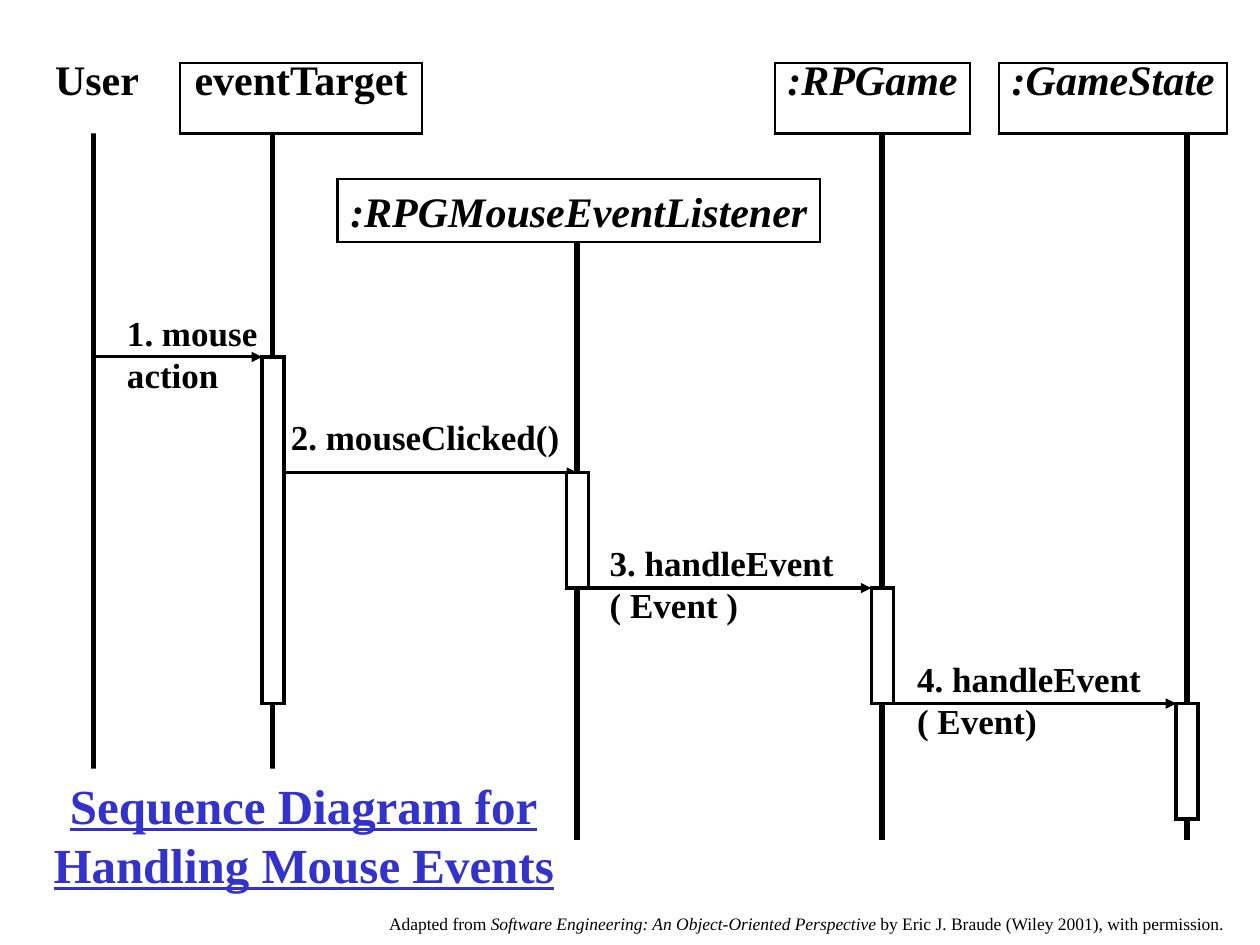
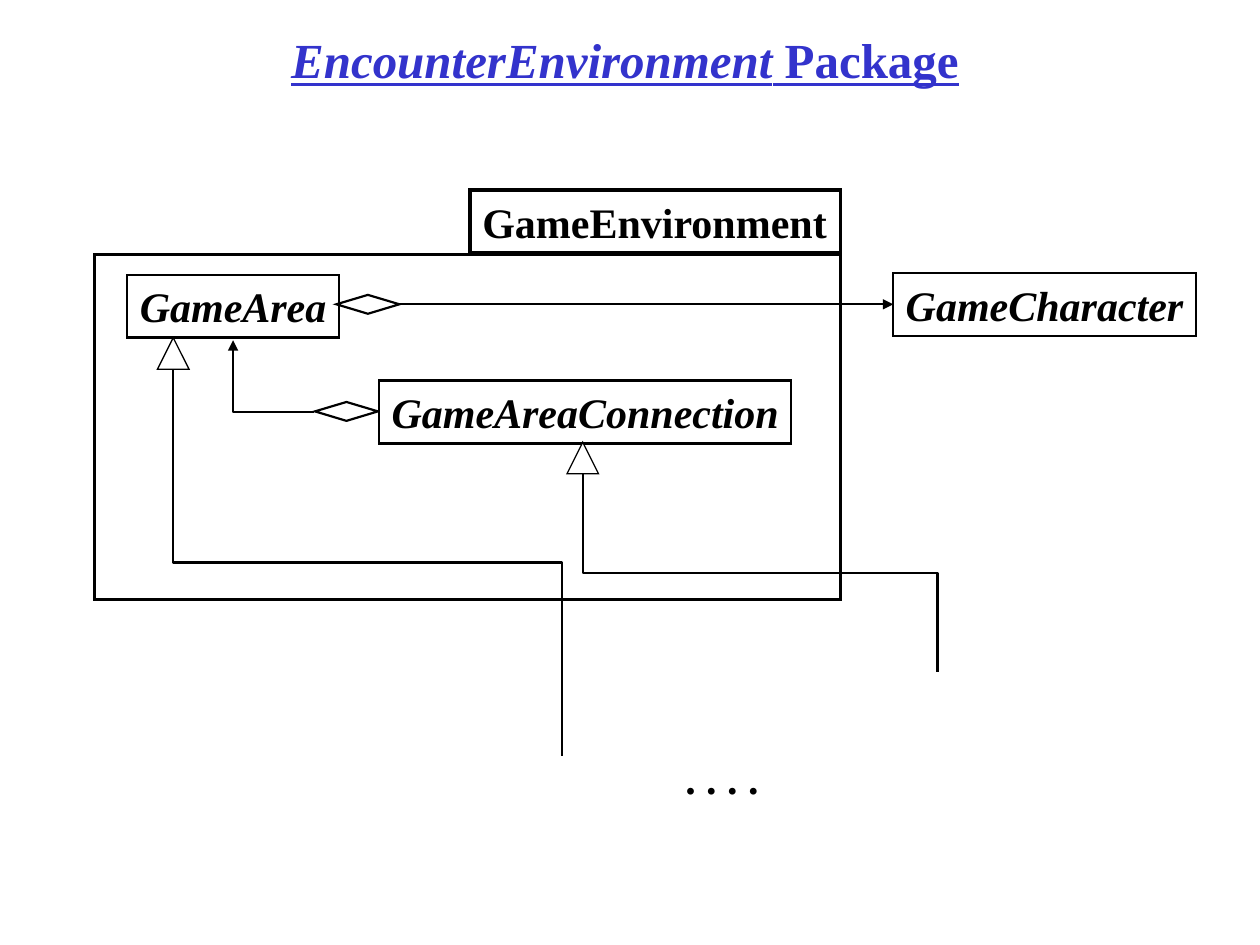
"""Build two UML slides: a mouse event sequence diagram and a package diagram."""
from dataclasses import dataclass

from lxml.etree import SubElement
from pptx import Presentation
from pptx.dml.color import RGBColor
from pptx.enum.shapes import MSO_CONNECTOR, MSO_SHAPE
from pptx.enum.text import MSO_ANCHOR, MSO_AUTO_SIZE, PP_ALIGN
from pptx.oxml.ns import qn
from pptx.util import Inches, Pt

COLORS = {"ink": "000000", "paper": "FFFFFF", "title": "3333CC"}
FONT = "Times New Roman"
COLUMNS, ROWS = 100, 75
WIDTH, HEIGHT = Inches(10), Inches(7.5)
LEFT, RIGHT = 1, 3
LIFELINE_END = 66.7
FIRST_CALL, CALL_STEP = 28.33, 9.17
BAR_WIDTH, BAR_OFFSET = 1.75, 0.85


@dataclass(frozen=True)
class Cell:
    """Left, top, width and height in grid columns and rows."""
    x: float
    y: float
    w: float
    h: float


@dataclass(frozen=True)
class Run:
    text: str
    italic: bool = False


Paragraphs = tuple[tuple[Run, ...], ...]


@dataclass(frozen=True)
class Style:
    size: float = 24
    bold: bool = True
    underline: bool = False
    color: str = "ink"
    align: PP_ALIGN = PP_ALIGN.LEFT
    anchor: MSO_ANCHOR = MSO_ANCHOR.TOP
    left: float = 0.1
    right: float = 0
    top: float = 0.05
    bottom: float = 0.05
    spacing: float | None = None
    wrap: bool = False


CAPTION = Style()
LABEL = Style(size=20)
CREDIT = Style(size=10, bold=False, top=0, bottom=0)
CLASS = Style(align=PP_ALIGN.CENTER, anchor=MSO_ANCHOR.MIDDLE, left=0.05, right=0.05)
HEADER = Style(align=PP_ALIGN.CENTER, left=0.05, right=0.05, top=0.25, bottom=0.15,
               spacing=0.4)
TITLE = Style(size=28, underline=True, color="title", align=PP_ALIGN.CENTER,
              anchor=MSO_ANCHOR.MIDDLE, right=0.1, wrap=True)


@dataclass(frozen=True)
class Participant:
    name: Run
    cell: Cell
    life_x: float
    life_y: float
    line: float = 1.5
    style: Style = HEADER


@dataclass(frozen=True)
class Call:
    """A message to the next participant, with the length of its activation."""
    label: tuple[str, ...]
    cell: Cell
    steps: int = 1
    reach: float = BAR_OFFSET


PARTICIPANTS = (
    Participant(Run("User"), Cell(3.4, 5, 8.6, 5.6), 7.45, 10, line=0),
    Participant(Run("eventTarget"), Cell(14.3, 5, 19.2, 5.6), 21.65, 10),
    Participant(Run(":RPGMouseEventListener", True),
                Cell(26.8, 14.2, 38.3, 5), 45.8, 17.5, style=CLASS),
    Participant(Run(":RPGame", True), Cell(61.5, 5, 15.5, 5.6), 70, 9.2),
    Participant(Run(":GameState", True), Cell(79.3, 5, 18.1, 5.6), 94.2, 9.2),
)
CALLS = (
    Call(("1. mouse", "action"), Cell(9.1, 24.2, 12.3, 7.7), steps=3),
    Call(("2. mouseClicked()",), Cell(22.1, 32.5, 23.3, 4.4), reach=0),
    Call(("3. handleEvent", "( Event )"), Cell(47.4, 42.5, 19.8, 7.7)),
    Call(("4. handleEvent", "( Event)"), Cell(71.8, 51.7, 19.8, 7.7)),
)


def col(n: float) -> int:
    return round(WIDTH * n / COLUMNS)


def row(n: float) -> int:
    return round(HEIGHT * n / ROWS)


def rgb(name: str) -> RGBColor:
    return RGBColor.from_string(COLORS[name])


def add_runs(p, runs: tuple[Run, ...], style: Style) -> None:
    for run in runs:
        r = p.add_run()
        r.text = run.text
        font = r.font
        font.name, font.size, font.bold = FONT, Pt(style.size), style.bold
        font.italic, font.underline = run.italic, style.underline
        font.color.rgb = rgb(style.color)


def write(sp, paragraphs: Paragraphs, style: Style) -> None:
    tf = sp.text_frame
    tf.word_wrap = style.wrap
    tf.auto_size = MSO_AUTO_SIZE.NONE if style.wrap else MSO_AUTO_SIZE.SHAPE_TO_FIT_TEXT
    tf.vertical_anchor = style.anchor
    tf.margin_left, tf.margin_right = Inches(style.left), Inches(style.right)
    tf.margin_top, tf.margin_bottom = Inches(style.top), Inches(style.bottom)
    for i, runs in enumerate(paragraphs):
        p = tf.add_paragraph() if i else tf.paragraphs[0]
        p.alignment = style.align
        if style.spacing:
            p.line_spacing = style.spacing
        add_runs(p, runs, style)


def text(s, cell: Cell, paragraphs: Paragraphs, style: Style) -> None:
    sp = s.shapes.add_textbox(col(cell.x), row(cell.y), col(cell.w), row(cell.h))
    write(sp, paragraphs, style)


def shape(s, cell: Cell, line: float, kind=MSO_SHAPE.RECTANGLE, filled: bool = True):
    sp = s.shapes.add_shape(kind, col(cell.x), row(cell.y), col(cell.w), row(cell.h))
    sp.shadow.inherit = False
    if filled:
        sp.fill.solid()
        sp.fill.fore_color.rgb = rgb("paper")
    else:
        sp.fill.background()
    if line:
        sp.line.color.rgb = rgb("ink")
        sp.line.width = Pt(line)
        SubElement(sp.line._get_or_add_ln(), qn("a:miter"), lim="800000")
    else:
        sp.line.fill.background()
    return sp


def box(s, cell: Cell, paragraphs: Paragraphs, line: float = 0, style: Style = CLASS,
        filled: bool = True):
    sp = shape(s, cell, line, filled=filled)
    write(sp, paragraphs, style)
    return sp


def class_box(s, cell: Cell, name: str):
    return box(s, cell, ((Run(name, True),),), 1.25)


def connect(s, x1: float, y1: float, x2: float, y2: float, width: float,
            arrow: bool = False, kind=MSO_CONNECTOR.STRAIGHT):
    cx = s.shapes.add_connector(kind, col(x1), row(y1), col(x2), row(y2))
    cx.line.color.rgb = rgb("ink")
    cx.line.width = Pt(width)
    if arrow:
        SubElement(cx.line._get_or_add_ln(), qn("a:tailEnd"), type="triangle")
    SubElement(cx._element.spPr, qn("a:effectLst"))
    return cx


def drop_elbow(s, x1: float, y1: float, x2: float, y2: float) -> None:
    """Draw a down, across, down connector as a turned elbow."""
    mx, my = (x1 + x2) / 2, (y1 + y2) / 2
    half_w, half_h = (x2 - x1) / 2, (y2 - y1) / 2
    cx = connect(s, mx + half_h, my - half_w, mx - half_h, my + half_w, 1.25,
                 kind=MSO_CONNECTOR.ELBOW)
    cx._element.spPr.find(qn("a:xfrm")).set("rot", str(270 * 60000))


def corner_arrow(s, x1: float, y1: float, x2: float, y2: float) -> None:
    """Draw an arrow that runs left and then up."""
    cx = connect(s, x2, y2, x1, y1, 1.25, True, MSO_CONNECTOR.ELBOW)
    cx._element.spPr.find(qn("a:xfrm")).set("rot", str(180 * 60000))
    cx._element.spPr.find(qn("a:prstGeom")).set("prst", "bentConnector2")


def sequence_slide(s) -> None:
    for call in CALLS:
        box(s, call.cell, tuple((Run(t),) for t in call.label), style=LABEL)
    for who in PARTICIPANTS:
        connect(s, who.life_x, who.life_y, who.life_x, LIFELINE_END, 3)
    for i, (call, sender, target) in enumerate(zip(CALLS, PARTICIPANTS, PARTICIPANTS[1:])):
        y = FIRST_CALL + i * CALL_STEP
        connect(s, sender.life_x, y, target.life_x - call.reach, y, 1.75, True)
    for i, (call, target) in enumerate(zip(CALLS, PARTICIPANTS[1:])):
        shape(s, Cell(target.life_x - BAR_OFFSET, FIRST_CALL + i * CALL_STEP,
                      BAR_WIDTH, call.steps * CALL_STEP), 2)
    for who in PARTICIPANTS:
        box(s, who.cell, ((who.name,),), who.line, who.style)
    title = box(s, Cell(3.2, 61, 41.8, 10.4), ((Run("Sequence Diagram for"),),),
                style=TITLE)
    p = title.text_frame.paragraphs[0]
    p.add_line_break()
    add_runs(p, (Run("Handling Mouse Events"),), TITLE)
    box(s, Cell(29.9, 72.5, 68.3, 1.7), ((
        Run("Adapted from "),
        Run("Software Engineering: An Object-Oriented Perspective ", True),
        Run("by Eric J. Braude (Wiley 2001), with permission."),
    ),), style=CREDIT)


def package_slide(s) -> None:
    text(s, Cell(0, 1.8, 99.2, 5.8),
         ((Run("EncounterEnvironment", True), Run(" Package")),), TITLE)
    shape(s, Cell(7.5, 20.2, 59.2, 27.4), 2, filled=False)
    box(s, Cell(37.3, 15.1, 29.4, 5), ((Run("GameEnvironment"),),), 2, CAPTION,
        filled=False)
    character = class_box(s, Cell(70.9, 21.65, 24, 5), "GameCharacter")
    shape(s, Cell(25, 31.9, 5, 1.5), 1.25, MSO_SHAPE.DIAMOND)
    corner_arrow(s, 24.9, 32.7, 18.5, 27)
    class_box(s, Cell(10.1, 21.8, 16.8, 5), "GameArea")
    diamond = shape(s, Cell(26.7, 23.4, 5, 1.5), 1.25, MSO_SHAPE.DIAMOND)
    link = connect(s, 31.7, 24.15, 70.9, 24.15, 1.25, True)
    link.begin_connect(diamond, RIGHT)
    link.end_connect(character, LEFT)
    class_box(s, Cell(30.1, 30.2, 32.7, 5), "GameAreaConnection")
    for x, y, end_x, end_y in ((13.75, 26.8, 44.6, 60), (46.25, 35.1, 74.4, 53.3)):
        shape(s, Cell(x - 1.25, y, 2.5, 2.5), 0.75, MSO_SHAPE.ISOSCELES_TRIANGLE)
        drop_elbow(s, x, y + 2.5, end_x, end_y)
    text(s, Cell(53.4, 59.2, 7.8, 5), ((Run(". . . ."),),), CAPTION)


def main() -> None:
    prs = Presentation()
    prs.slide_width, prs.slide_height = WIDTH, HEIGHT
    for draw in (sequence_slide, package_slide):
        draw(prs.slides.add_slide(prs.slide_layouts[6]))
    prs.save("out.pptx")


if __name__ == "__main__":
    main()
